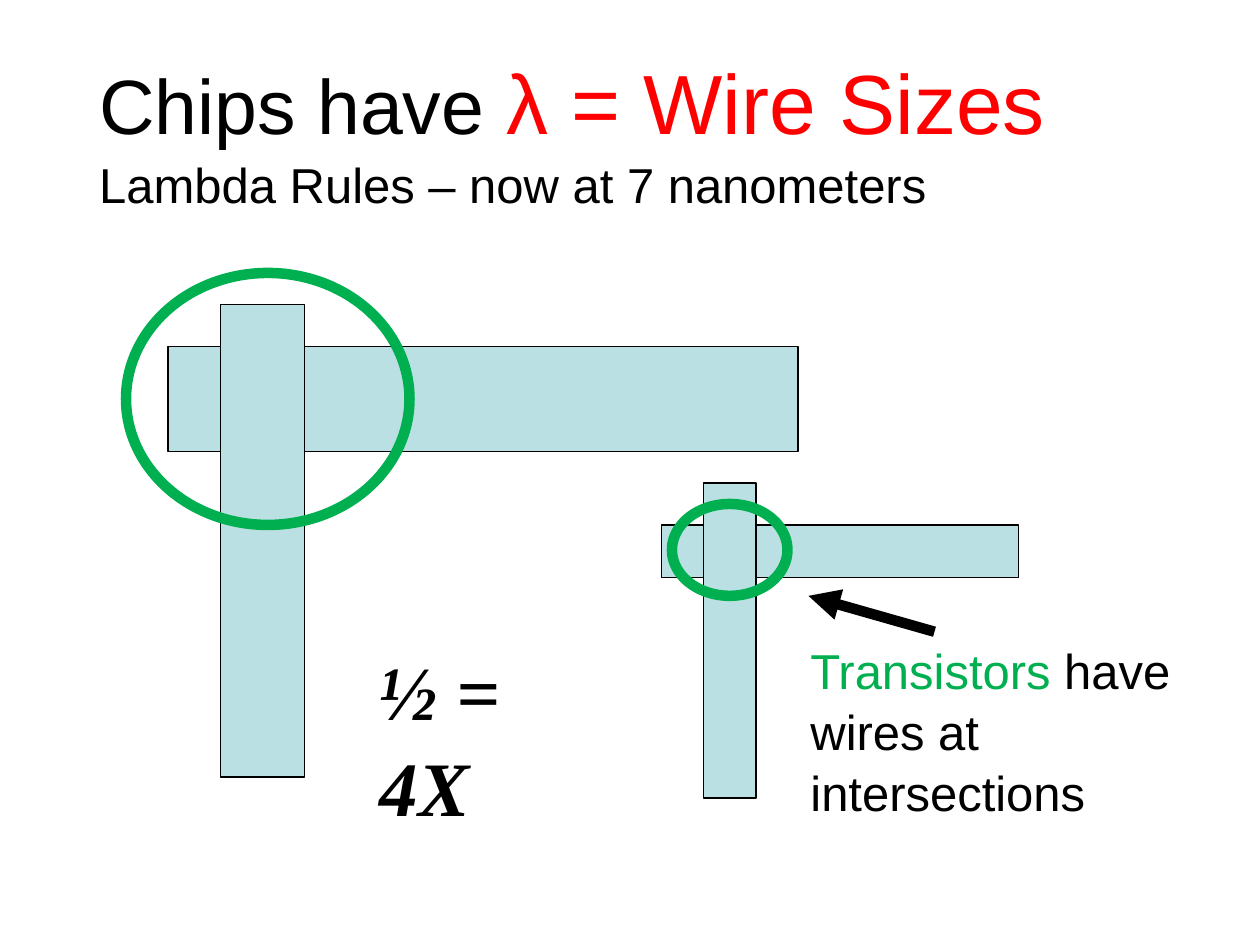
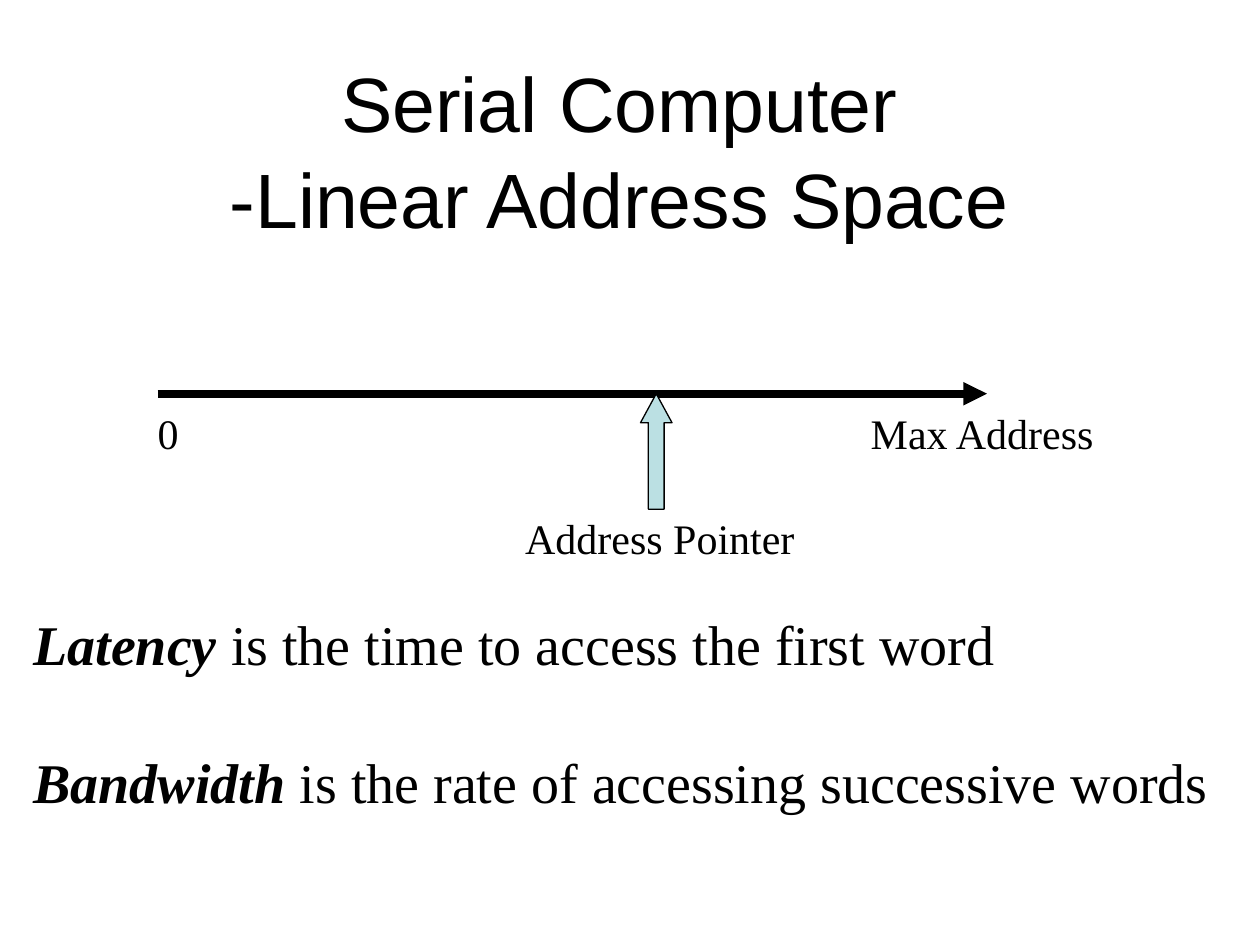
from lxml import etree
from pptx import Presentation
from pptx.dml.color import RGBColor
from pptx.enum import shapes, text
from pptx.oxml import ns
from pptx.util import Pt

BLACK = RGBColor(0x00, 0x00, 0x00)
RED = RGBColor(0xFF, 0x00, 0x00)
GREEN = RGBColor(0x00, 0xB0, 0x50)
WIRE_BLUE = RGBColor(0xBB, 0xE0, 0xE3)
SANS, SERIF = "Arial", "Times New Roman"
LEFT, CENTER = text.PP_ALIGN.LEFT, text.PP_ALIGN.CENTER
SHAPE = shapes.MSO_SHAPE
LINE_SPACING = 1.04


class Deck:
    def __init__(self):
        self.prs = Presentation()
        self.prs.slide_width, self.prs.slide_height = Pt(720), Pt(540)
        self.slide = None

    def add_slide(self):
        self.slide = self.prs.slides.add_slide(self.prs.slide_layouts[5])

    def paragraph(self, p, runs, font, size, align=LEFT):
        """Fill p with runs of (text, overrides); None stands for a line break."""
        p.alignment = align
        p.line_spacing = LINE_SPACING
        for run in runs:
            if run is None:
                p.add_line_break()
                continue
            words, style = run
            r = p.add_run()
            r.text = words
            r.font.name = font
            r.font.size = Pt(style.get("size", size))
            r.font.color.rgb = style.get("color", BLACK)
            r.font.bold = r.font.italic = style.get("strong", False)

    def title(self, box, runs, align=LEFT):
        sp = self.slide.shapes.title
        sp.left, sp.top, sp.width, sp.height = map(Pt, box)
        tf = sp.text_frame
        tf.auto_size = text.MSO_AUTO_SIZE.NONE
        tf.vertical_anchor = text.MSO_ANCHOR.MIDDLE
        self.paragraph(tf.paragraphs[0], runs, SANS, 44, align)

    def label(self, box, paragraphs, font, size, wrap=False, gap=0, tab=None):
        tf = self.slide.shapes.add_textbox(*map(Pt, box)).text_frame
        tf.word_wrap = wrap
        for i, runs in enumerate(paragraphs):
            p = tf.add_paragraph() if i else tf.paragraphs[0]
            self.paragraph(p, runs, font, size)
            if i:
                p.space_before = Pt(gap)
            if tab:
                tabs = etree.SubElement(p._p.get_or_add_pPr(), ns.qn("a:tabLst"))
                etree.SubElement(tabs, ns.qn("a:tab"), pos=str(Pt(tab)), algn="l")

    def shape(self, kind, box, fill=WIRE_BLUE, line=BLACK, weight=0.75):
        sp = self.slide.shapes.add_shape(kind, *map(Pt, box))
        sp.shadow.inherit = False
        if fill is None:
            sp.fill.background()
        else:
            sp.fill.solid()
            sp.fill.fore_color.rgb = fill
        sp.line.color.rgb = line
        sp.line.width = Pt(weight)
        return sp

    def crossing(self, across, down):
        for box in (across, down):
            self.shape(SHAPE.RECTANGLE, box)

    def ring(self, box):
        self.shape(SHAPE.OVAL, box, fill=None, line=GREEN, weight=6)

    def arrow(self, start, end, weight):
        cxn = self.slide.shapes.add_connector(
            shapes.MSO_CONNECTOR.STRAIGHT, *map(Pt, start + end))
        cxn.line.color.rgb = BLACK
        cxn.line.width = Pt(weight)
        etree.SubElement(cxn.line._get_or_add_ln(), ns.qn("a:tailEnd"), type="triangle")
        etree.SubElement(cxn._element.spPr, ns.qn("a:effectLst"))


def wire_sizes(deck):
    deck.add_slide()
    deck.title((49.5, 6, 612, 136.5), [
        ("Chips have ", {}),
        ("λ = Wire Sizes", {"size": 48, "color": RED}),
        None,
        ("Lambda Rules – now at 7 nanometers", {"size": 28}),
    ])
    deck.crossing(across=(96, 198, 360, 60), down=(126, 174, 48, 270))
    deck.crossing(across=(378, 300, 204, 30), down=(402, 276, 30, 180))
    deck.label((210, 362, 145.5, 60.5), [[("½ = 4X", {"strong": True})]], SERIF, 44)
    deck.ring((72, 156, 162, 144))
    deck.ring((384, 288, 66, 52.5))
    deck.arrow((534, 361), (462, 340.5), 6)
    deck.label((456, 361, 222.5, 108), [[
        ("Transistors", {"color": GREEN}),
        (" have wires at intersections", {}),
    ]], SANS, 28, wrap=True)


def address_space(deck):
    deck.add_slide()
    deck.title((24, 31, 660, 107), [
        ("Serial Computer", {}), None, ("-Linear Address Space", {}),
    ], CENTER)
    deck.arrow((90, 225), (564, 225), 4.5)
    pointer = deck.shape(SHAPE.UP_ARROW, (366, 225, 18, 66))
    pointer.adjustments[0], pointer.adjustments[1] = 0.5, 0.92
    deck.label((293, 288, 168.5, 36), [[("Address Pointer", {})]], SERIF, 24)
    deck.label((83, 228, 551, 36), [[("0\tMax Address", {})]], SERIF, 24,
               wrap=True, tab=407.5)
    definitions = [("Latency", " is the time to access the first word"),
                   ("Bandwidth", " is the rate of accessing successive words")]
    deck.label((12, 343.5, 686, 122.5),
               [[(term, {"strong": True}), (meaning, {})] for term, meaning in definitions],
               SERIF, 32, gap=38.5)


def main():
    deck = Deck()
    wire_sizes(deck)
    address_space(deck)
    deck.prs.save("out.pptx")


if __name__ == "__main__":
    main()
